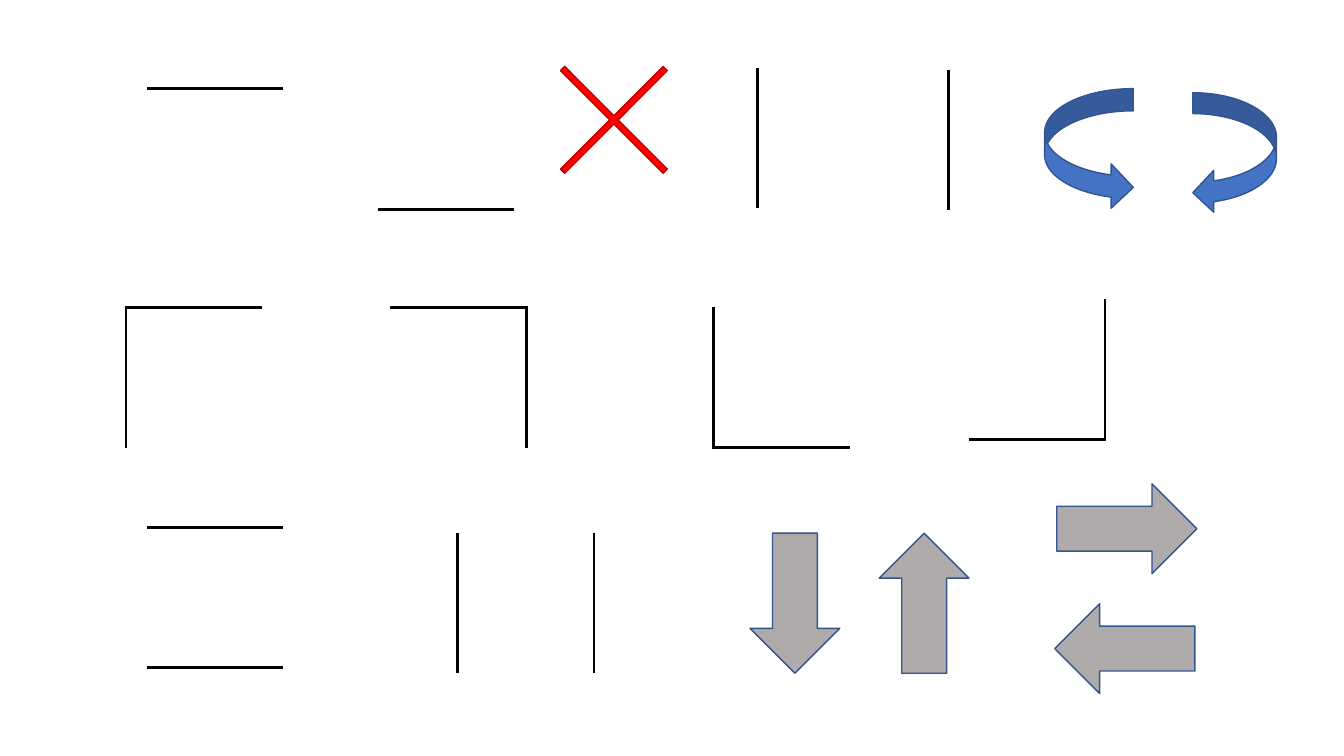
from lxml import etree
from pptx import Presentation
from pptx.dml.color import RGBColor
from pptx.enum.shapes import MSO_SHAPE
from pptx.oxml.ns import qn
from pptx.util import Inches, Pt

DOWN = MSO_SHAPE.DOWN_ARROW
CURVED_RIGHT = MSO_SHAPE.CURVED_RIGHT_ARROW
CURVED_LEFT = MSO_SHAPE.CURVED_LEFT_ARROW
CROSS = MSO_SHAPE.MATH_MULTIPLY

BLACK, GREY, BLUE, NAVY = "000000", "AFABAB", "4472C4", "325491"
RED, DARK_RED = "FF0000", "C00000"

prs = Presentation()
prs.slide_width, prs.slide_height = Inches(13.33), Inches(7.5)
slide = prs.slides.add_slide(prs.slide_layouts[6])


def share(left, top, width, height):
    return [round(prs.slide_width * left / 100), round(prs.slide_height * top / 100),
            round(prs.slide_width * width / 100), round(prs.slide_height * height / 100)]


def color(value):
    return RGBColor.from_string(value)


CELL_WIDTH, CELL_HEIGHT = 10.13, 18.53
walled_cells = [
    (10.95, 11.73, "T"),
    (9.38, 40.67, "LT"),
    (72.09, 39.6, "RB"),
    (28.13, 9.2, "B"),
    (70.59, 9.2, "L"),
    (46.21, 8.93, "R"),
    (34.06, 70.53, "LR"),
    (10.95, 69.73, "TB"),
    (53.11, 40.67, "LB"),
    (29.03, 40.67, "TR"),
]
for left, top, walls in walled_cells:
    maze_table = slide.shapes.add_table(1, 1, *share(left, top, CELL_WIDTH, CELL_HEIGHT)).table
    maze_table.first_row = False
    maze_table.horz_banding = False
    maze_cell = maze_table.cell(0, 0)
    maze_cell.fill.background()
    borders = maze_cell._tc.get_or_add_tcPr()
    for position, side in enumerate("LRTB"):
        wall = etree.Element(qn(f"a:ln{side}"), w=str(Pt(2.25)))
        if side in walls:
            paint = etree.SubElement(wall, qn("a:solidFill"))
            etree.SubElement(paint, qn("a:srgbClr"), val=BLACK)
        else:
            etree.SubElement(wall, qn("a:noFill"))
        borders.insert(position, wall)

ARROW_WIDTH = 6.68
symbols = [
    (DOWN, (55.81, 70.53, ARROW_WIDTH, CELL_HEIGHT), 0, GREY, NAVY),
    (DOWN, (65.42, 70.53, ARROW_WIDTH, CELL_HEIGHT), 180, GREY, NAVY),
    (DOWN, (80.5, 60.67, ARROW_WIDTH, CELL_HEIGHT), 270, GREY, NAVY),
    (DOWN, (80.35, 76.53, ARROW_WIDTH, CELL_HEIGHT), 90, GREY, NAVY),
    (CURVED_RIGHT, (77.72, 11.73, 6.6, 16), 0, BLUE, NAVY),
    (CURVED_LEFT, (88.75, 12.27, 6.23, 16), 0, BLUE, NAVY),
    (CROSS, (38.33, 2.8, 14.7, 26.13), 0, RED, DARK_RED),
]
for kind, place, turn, fill, outline in symbols:
    symbol = slide.shapes.add_shape(kind, *share(*place))
    symbol.rotation = turn
    symbol.shadow.inherit = False
    symbol.fill.solid()
    symbol.fill.fore_color.rgb = color(fill)
    symbol.line.color.rgb = color(outline)
    symbol.line.width = Pt(1)
    if kind == CROSS:
        symbol.adjustments[0] = 0.03

prs.save("out.pptx")
